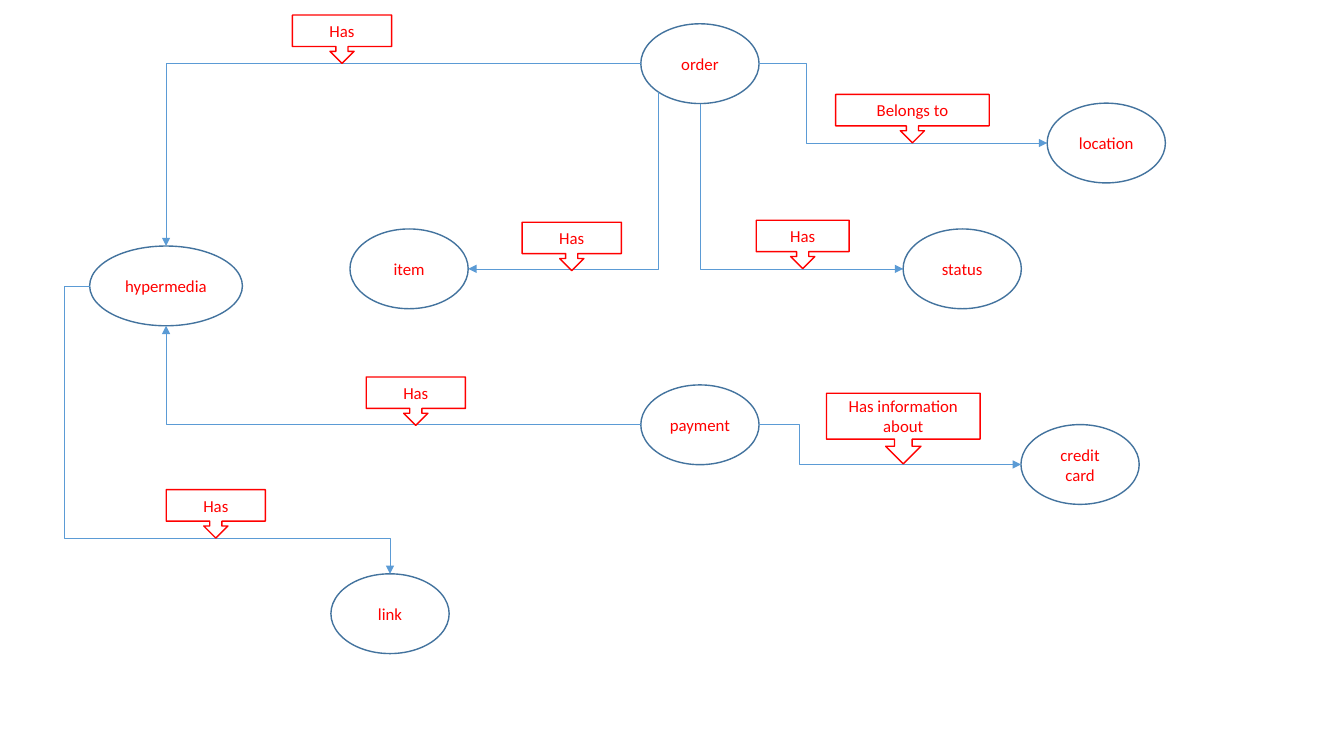
from dataclasses import dataclass
from math import cos, pi, sin

from lxml import etree
from pptx import Presentation
from pptx.dml.color import RGBColor
from pptx.enum.shapes import MSO_CONNECTOR, MSO_SHAPE
from pptx.enum.text import MSO_ANCHOR, PP_ALIGN
from pptx.oxml.ns import qn
from pptx.util import Cm, Pt

ELLIPSE = MSO_SHAPE.OVAL
CALLOUT = MSO_SHAPE.DOWN_ARROW_CALLOUT
ELBOW = MSO_CONNECTOR.ELBOW
CENTER = PP_ALIGN.CENTER
MIDDLE = MSO_ANCHOR.MIDDLE

# Connection sites of an ellipse, counted anticlockwise from the top
TOP, LEFT, LOWER_LEFT, BOTTOM, RIGHT = 0, 2, 3, 4, 6


@dataclass(frozen=True)
class Theme:
    font: str = "Calibri"
    text_size: float = 12
    text: str = "FF0000"
    concept_line: str = "43739E"
    label_line: str = "FF0000"
    relation: str = "5B9BD5"
    outline_width: float = 1
    relation_width: float = 0.5


THEME = Theme()

CONCEPT_WIDTH, CONCEPT_HEIGHT = 2.98, 2.01
# name: left, top, width in cm
CONCEPTS = {
    "credit card": (25.73, 10.7, CONCEPT_WIDTH),
    "order": (16.15, 0.6, CONCEPT_WIDTH),
    "status": (22.76, 5.77, CONCEPT_WIDTH),
    "item": (8.82, 5.77, CONCEPT_WIDTH),
    "location": (26.39, 2.6, CONCEPT_WIDTH),
    "payment": (16.15, 9.7, CONCEPT_WIDTH),
    "hypermedia": (2.26, 6.2, 3.85),
    "link": (8.34, 14.46, CONCEPT_WIDTH),
}

# route: preset, rotation, flips
ROUTES = {
    "right, down, right": ("bentConnector3", 0, ()),
    "down, right": ("bentConnector2", 270, ("flipH",)),
    "down, left": ("bentConnector2", 90, ()),
    "left, down": ("bentConnector2", 180, ("flipV",)),
    "left, up": ("bentConnector2", 180, ()),
    "left, down, right, down": ("bentConnector4", 180, ("flipH", "flipV")),
}

# source, site, target, site, route, bend positions
RELATIONS = [
    ("order", RIGHT, "location", LEFT, "right, down, right", (16300,)),
    ("order", BOTTOM, "status", LEFT, "down, right", ()),
    ("order", LOWER_LEFT, "item", RIGHT, "down, left", ()),
    ("payment", RIGHT, "credit card", LEFT, "right, down, right", (15200,)),
    ("order", LEFT, "hypermedia", TOP, "left, down", ()),
    ("payment", LEFT, "hypermedia", BOTTOM, "left, up", ()),
    ("hypermedia", LEFT, "link", TOP, "left, down, right, down", (-8400, 87700)),
]

# text, left, top, width, height in cm
LABELS = [
    ("Has", 19.06, 5.55, 2.34, 1.22),
    ("Belongs to", 21.06, 2.38, 3.87, 1.22),
    ("Has", 13.16, 5.6, 2.5, 1.22),
    ("Has information about", 20.83, 9.91, 3.87, 1.78),
    ("Has", 7.37, 0.38, 2.5, 1.22),
    ("Has", 4.19, 12.34, 2.5, 1.22),
    ("Has", 9.23, 9.5, 2.5, 1.22),
]


def write_text(frame, text, *, size=THEME.text_size, color=THEME.text, align=CENTER):
    frame.word_wrap = True
    frame.vertical_anchor = MIDDLE
    paragraph = frame.paragraphs[0]
    paragraph.alignment = align
    run = paragraph.add_run()
    run.text = text
    run.font.name = THEME.font
    run.font.size = Pt(size)
    run.font.color.rgb = RGBColor.from_string(color)


def add_outlined(slide, preset, text, left, top, width, height, line_color):
    outlined = slide.shapes.add_shape(preset, Cm(left), Cm(top), Cm(width), Cm(height))
    outlined.shadow.inherit = False
    outlined.fill.background()
    outlined.line.color.rgb = RGBColor.from_string(line_color)
    outlined.line.width = Pt(THEME.outline_width)
    write_text(outlined.text_frame, text)
    return outlined


def site_point(concept, site):
    angle = site * pi / 4
    x = concept.left + concept.width / 2 * (1 - sin(angle))
    y = concept.top + concept.height / 2 * (1 - cos(angle))
    return round(x), round(y)


def glue(connector, end_tag, concept, site):
    """Join a connector end to an ellipse site, which may be above 3."""
    holder = connector.element.find(".//" + qn("p:cNvCxnSpPr"))
    etree.SubElement(holder, qn(end_tag), id=str(concept.shape_id), idx=str(site))


def add_relation(slide, source, source_site, target, target_site, route, bends):
    preset, rotation, flips = ROUTES[route]
    (x1, y1), (x2, y2) = site_point(source, source_site), site_point(target, target_site)
    left, top, width, height = min(x1, x2), min(y1, y2), abs(x2 - x1), abs(y2 - y1)
    if rotation in (90, 270):
        left += (width - height) // 2
        top += (height - width) // 2
        width, height = height, width
    relation = slide.shapes.add_connector(ELBOW, left, top, left + width, top + height)
    relation.rotation = rotation
    relation.line.color.rgb = RGBColor.from_string(THEME.relation)
    relation.line.width = Pt(THEME.relation_width)

    properties = relation.element.spPr
    for flip in flips:
        properties.find(qn("a:xfrm")).set(flip, "1")
    geometry = properties.find(qn("a:prstGeom"))
    geometry.set("prst", preset)
    adjustments = geometry.find(qn("a:avLst"))
    if adjustments is None:
        adjustments = etree.SubElement(geometry, qn("a:avLst"))
    for number, bend in enumerate(bends, 1):
        etree.SubElement(adjustments, qn("a:gd"), name=f"adj{number}", fmla=f"val {bend}")
    etree.SubElement(properties.find(qn("a:ln")), qn("a:tailEnd"), type="triangle")
    etree.SubElement(properties, qn("a:effectLst"))

    glue(relation, "a:stCxn", source, source_site)
    glue(relation, "a:endCxn", target, target_site)


def main():
    presentation = Presentation()
    presentation.slide_width = Cm(33.87)
    presentation.slide_height = Cm(19.05)
    slide = presentation.slides.add_slide(presentation.slide_layouts[6])

    concepts = {
        name: add_outlined(slide, ELLIPSE, name, left, top, width, CONCEPT_HEIGHT,
                           THEME.concept_line)
        for name, (left, top, width) in CONCEPTS.items()
    }
    for source, source_site, target, target_site, route, bends in RELATIONS:
        add_relation(slide, concepts[source], source_site,
                     concepts[target], target_site, route, bends)
    for text, left, top, width, height in LABELS:
        add_outlined(slide, CALLOUT, text, left, top, width, height, THEME.label_line)

    presentation.save("out.pptx")


if __name__ == "__main__":
    main()
